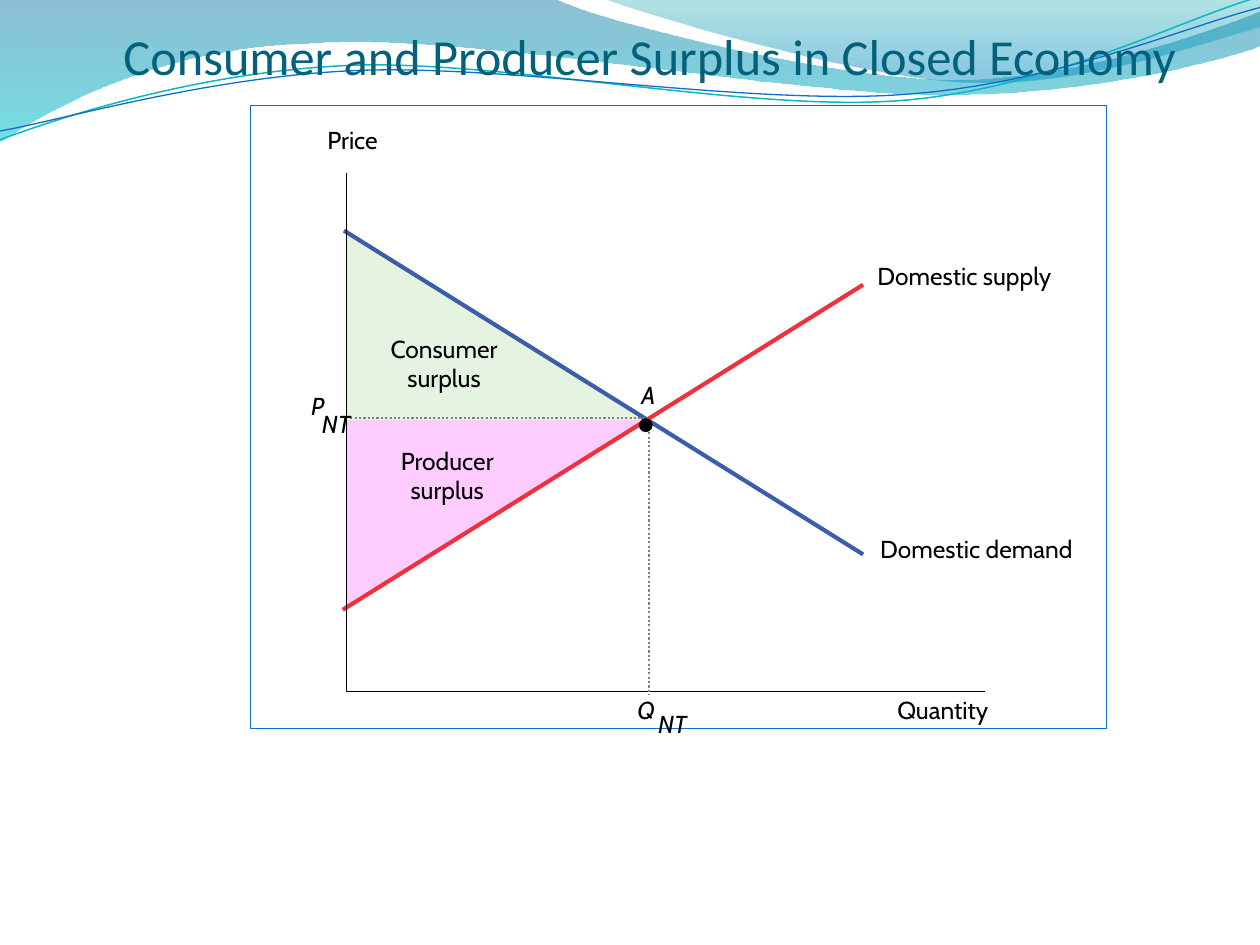
"""Build a supply and demand slide showing surplus in a closed economy."""
from dataclasses import dataclass
from typing import Optional

from lxml import etree
from pptx import Presentation
from pptx.dml.color import RGBColor
from pptx.enum import dml, shapes, text
from pptx.oxml import ns
from pptx.util import Inches, Pt

Point = tuple[float, float]

BLACK = RGBColor(0x00, 0x00, 0x00)
GREY = RGBColor(0x80, 0x80, 0x80)
TITLE_TEAL = RGBColor(0x04, 0x61, 0x7B)
FRAME_BLUE = RGBColor(0x0F, 0x6F, 0xC6)
WAVE_TEAL = RGBColor(0x0A, 0xB8, 0xBF)
DEMAND_BLUE = RGBColor(0x3C, 0x5D, 0xAA)
SUPPLY_RED = RGBColor(0xEE, 0x31, 0x3C)
CONSUMER_GREEN = RGBColor(0xE5, 0xF4, 0xE0)
PRODUCER_PINK = RGBColor(0xFF, 0xCC, 0xFF)
BAND_BLUE = RGBColor(0x00, 0x74, 0xA1)
BAND_CYAN = RGBColor(0x00, 0xC6, 0xCF)
CREST_TEAL = RGBColor(0x00, 0xA1, 0xA9)
CREST_BLUE = RGBColor(0x00, 0x8B, 0xBF)

AXIS_X = 2.75
BASE_Y = 5.49
PRICE_Y = 3.33
EQUILIBRIUM = (5.14, PRICE_Y)


@dataclass(frozen=True)
class Stop:
    position: float
    color: RGBColor
    opacity: int


@dataclass(frozen=True)
class Wave:
    """A path whose segments hold one point (line) or three (cubic curve)."""
    start: Point
    segments: list[list[Point]]
    stops: Optional[tuple[Stop, Stop]] = None
    line: Optional[RGBColor] = None
    weight: float = 0


@dataclass(frozen=True)
class Label:
    words: str
    left: float
    top: float
    width: float
    height: float = 0.24
    centred: bool = True
    italic: bool = False
    wrap: bool = True


@dataclass(frozen=True)
class Line:
    start: Point
    end: Point
    color: RGBColor
    weight: float
    dotted: bool = False


WAVES = [
    Wave((0, 0), [
        [(4.4, -0.01)],
        [(4.76, 0.17), (6.64, 0.63), (7.58, 0.63)],
        [(8.53, 0.63), (9.58, 0.26), (10, 0.09)],
        [(10.01, 0.36)],
        [(9.83, 0.44), (8.7, 0.76), (7.46, 0.75)],
        [(6.22, 0.75), (3.82, 0.28), (2.57, 0.34)],
        [(1.29, 0.36), (0.46, 0.83), (-0.01, 1.13)],
        [(0, 0)],
    ], stops=(Stop(0, BAND_BLUE, 45), Stop(1, BAND_CYAN, 55))),
    Wave((4.79, -0.01), [
        [(5.09, 0.11), (6.82, 0.62), (7.69, 0.65)],
        [(8.56, 0.69), (9.61, 0.32), (10, 0.21)],
        [(10, 0)],
        [(4.79, -0.01)],
    ], stops=(Stop(0, CREST_TEAL, 30), Stop(0.8, CREST_BLUE, 45))),
    Wave((0, 1.11), [
        [(0.48, 0.93), (1.58, 0.57), (2.77, 0.52)],
        [(3.95, 0.47), (5.93, 0.89), (7.13, 0.8)],
        [(8.33, 0.71), (9.38, 0.15), (9.98, -0.02)],
    ], line=WAVE_TEAL, weight=0.85),
    Wave((0, 1.04), [
        [(0.47, 0.96), (1.64, 0.61), (2.83, 0.56)],
        [(4.03, 0.51), (5.97, 0.84), (7.17, 0.75)],
        [(8.36, 0.67), (9.41, 0.21), (10, 0.06)],
    ], line=FRAME_BLUE, weight=0.75),
]
CURVES = [
    Line((6.85, 4.4), (2.73, 1.83), DEMAND_BLUE, 2.38),
    Line((2.72, 4.84), (6.85, 2.26), SUPPLY_RED, 2.38),
]
GUIDES = [
    Line((5.15, 3.43), (5.15, 5.52), GREY, 1.25, dotted=True),
    Line((2.78, 3.32), (5.11, 3.32), GREY, 1.25, dotted=True),
]
LABELS = [
    Label("Price ", 2.58, 0.99, 0.48, wrap=False),
    Label("Quantity ", 6.28, 5.52, 2.45),
    Label("Consumer surplus", 2.93, 2.65, 1.19, 0.47),
    Label("Producer surplus", 2.93, 3.54, 1.24, 0.47),
    Label("A", 5.09, 3.02, 0.12, centred=False, italic=True, wrap=False),
    Label("Q", 5.06, 5.52, 0.14, centred=False, italic=True, wrap=False),
    Label(" NT", 5.18, 5.63, 0.31, centred=False, italic=True, wrap=False),
    Label("P", 2.47, 3.1, 0.11, centred=False, italic=True, wrap=False),
    Label(" NT", 2.51, 3.25, 0.31, centred=False, italic=True, wrap=False),
    Label("Domestic supply", 6.87, 2.07, 1.57),
    Label("Domestic demand", 6.95, 4.24, 1.6),
]


def emu(point: Point) -> tuple[int, int]:
    """Convert a point in inches to slide units."""
    return Inches(point[0]), Inches(point[1])


def style(shape, fill: Optional[RGBColor] = None,
          line: Optional[RGBColor] = None, weight: float = 0) -> None:
    """Set the fill and outline of a shape and drop its shadow."""
    shape.shadow.inherit = False
    if fill is None:
        shape.fill.background()
    else:
        shape.fill.solid()
        shape.fill.fore_color.rgb = fill
    if line is None:
        shape.line.fill.background()
    else:
        shape.line.color.rgb = line
        shape.line.width = Pt(weight)


def add_outline(slide, points: list[Point], closed: bool):
    """Add a freeform through the points."""
    builder = slide.shapes.build_freeform(*emu(points[0]))
    builder.add_line_segments([emu(point) for point in points[1:]], close=closed)
    return builder.convert_to_shape()


def bend(shape, segments: list[list[Point]]) -> None:
    """Join each run of three line ends into one cubic curve."""
    ends = iter(list(shape.element.spPr.iter(ns.qn("a:lnTo"))))
    for segment in segments:
        group = [next(ends) for _ in segment]
        if len(group) == 3:
            curve = etree.Element(ns.qn("a:cubicBezTo"))
            group[0].addprevious(curve)
            for end in group:
                curve.append(end[0])
                end.getparent().remove(end)


def add_wave(slide, wave: Wave) -> None:
    """Add a decorative wave, shaded or outlined."""
    points = [wave.start, *(point for segment in wave.segments for point in segment)]
    shape = add_outline(slide, points, wave.stops is not None)
    bend(shape, wave.segments)
    style(shape, line=wave.line, weight=wave.weight)
    if wave.stops:
        shape.fill.gradient()
        shape.fill.gradient_angle = 270
        for target, stop in zip(shape.fill.gradient_stops, wave.stops):
            target.position = stop.position
            target.color.rgb = stop.color
        colors = shape.element.spPr.iterfind(".//" + ns.qn("a:gs") + "/" + ns.qn("a:srgbClr"))
        for color, stop in zip(colors, wave.stops):
            etree.SubElement(color, ns.qn("a:alpha"), val=str(stop.opacity * 1000))


def add_line(slide, line: Line) -> None:
    """Add a straight line."""
    connector = slide.shapes.add_connector(
        shapes.MSO_CONNECTOR.STRAIGHT, *emu(line.start), *emu(line.end))
    connector.line.color.rgb = line.color
    connector.line.width = Pt(line.weight)
    if line.dotted:
        connector.line.dash_style = dml.MSO_LINE.ROUND_DOT
    etree.SubElement(connector.element.spPr, ns.qn("a:effectLst"))


def set_text(shape, words: str, face: str, size: float, color: RGBColor,
             centred: bool = False, top: float = 0):
    """Write one paragraph with tight margins and return it."""
    frame = shape.text_frame
    frame.margin_left = frame.margin_right = frame.margin_bottom = 0
    frame.margin_top = Inches(top)
    paragraph = frame.paragraphs[0]
    paragraph.text = words
    paragraph.alignment = text.PP_ALIGN.CENTER if centred else text.PP_ALIGN.LEFT
    paragraph.font.name, paragraph.font.size = face, Pt(size)
    paragraph.font.color.rgb = color
    return paragraph


def add_label(slide, label: Label) -> None:
    """Add a diagram label."""
    box = slide.shapes.add_textbox(*emu((label.left, label.top)),
                                   *emu((label.width, label.height)))
    paragraph = set_text(box, label.words, "Cabin", 14, BLACK, label.centred)
    paragraph.font.italic = label.italic
    box.text_frame.word_wrap = label.wrap
    box.text_frame.auto_size = text.MSO_AUTO_SIZE.SHAPE_TO_FIT_TEXT


def set_title(slide, words: str) -> None:
    """Place and format the title in front of the waves."""
    title = slide.shapes.title
    title.left, title.top = emu((0.98, 0.07))
    title.width, title.height = emu((8.82, 0.61))
    set_text(title, words, "Calibri", 28.8, TITLE_TEAL, top=0.05)
    title.text_frame.auto_size = text.MSO_AUTO_SIZE.NONE
    title.text_frame.vertical_anchor = text.MSO_ANCHOR.BOTTOM
    title.element.getparent().append(title.element)


def main() -> None:
    """Build and save the slide."""
    deck = Presentation()
    deck.slide_width, deck.slide_height = emu((10, 7.5))
    slide = deck.slides.add_slide(deck.slide_layouts[5])
    for wave in WAVES:
        add_wave(slide, wave)
    set_title(slide, "Consumer and Producer Surplus in Closed Economy")

    frame = slide.shapes.add_shape(
        shapes.MSO_SHAPE.RECTANGLE, *emu((1.99, 0.84)), *emu((6.79, 4.94)))
    style(frame, line=FRAME_BLUE, weight=0.75)
    producer = [(AXIS_X, PRICE_Y), (AXIS_X, 4.81), EQUILIBRIUM, (AXIS_X, PRICE_Y)]
    consumer = [(AXIS_X, 1.84), (AXIS_X, PRICE_Y), EQUILIBRIUM, (AXIS_X, 1.84)]
    for corners, color in ((producer, PRODUCER_PINK), (consumer, CONSUMER_GREEN)):
        style(add_outline(slide, corners, True), fill=color)
    for curve in CURVES:
        add_line(slide, curve)
    equilibrium = slide.shapes.add_shape(
        shapes.MSO_SHAPE.OVAL, *emu((5.07, 3.32)), *emu((0.11, 0.11)))
    style(equilibrium, fill=BLACK)
    axes = add_outline(slide, [(7.82, BASE_Y), (AXIS_X, BASE_Y), (AXIS_X, 1.37)], False)
    style(axes, line=BLACK, weight=0.63)
    for guide in GUIDES:
        add_line(slide, guide)
    for label in LABELS:
        add_label(slide, label)
    deck.save("out.pptx")


main()
